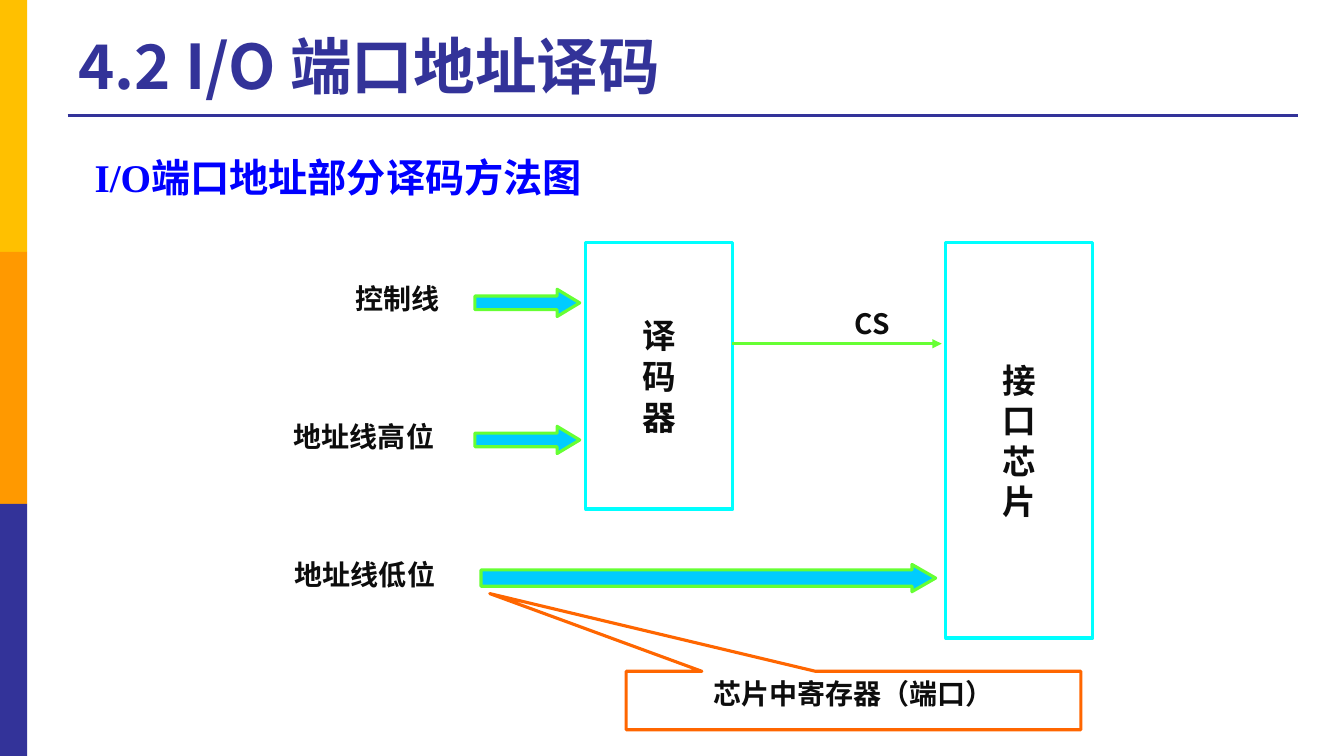
from dataclasses import dataclass

from lxml import etree
from pptx import Presentation, util as u
from pptx.dml.color import RGBColor
from pptx.enum import shapes, text
from pptx.oxml.ns import qn

PX = 9144  # EMU per px, 100 px to the inch
SANS, SERIF = "Noto Sans CJK SC", "Times New Roman"
HUES = {"navy": "333399", "gold": "FFC000", "orange": "FF9900", "blue": "0000FF",
        "cyan": "00FFFF", "sky": "00CCFF", "lime": "66FF33", "rust": "FF6600",
        "ink": "0D0D0D"}
FORM = shapes.MSO_SHAPE
MID, TOP = text.MSO_ANCHOR.MIDDLE, text.MSO_ANCHOR.TOP


@dataclass
class Box:
    x: int
    y: int
    w: int
    h: int


@dataclass
class Style:
    size: int = 20
    hue: str = "ink"
    font: str = SANS
    align: text.PP_ALIGN = text.PP_ALIGN.CENTER
    anchor: text.MSO_ANCHOR = MID
    lead: int | None = None


@dataclass
class Label:
    words: str
    box: Box
    style: Style


@dataclass
class Form:
    kind: FORM
    box: Box
    fill: str | None = None
    line: str | None = None
    adjust: tuple[float, ...] = ()
    rows: tuple[str, ...] = ()
    style: Style | None = None


@dataclass
class Wire:
    x: int
    end: int
    y: int
    hue: str
    head: bool = False


LEFT = text.PP_ALIGN.LEFT
TALL = Style(size=24, lead=29)
WORD = Style()

FORMS = [
    *(Form(FORM.RECTANGLE, Box(0, 250 * i, 27, 250), hue)
      for i, hue in enumerate(("gold", "orange", "navy"))),
    Form(FORM.RECTANGLE, Box(581, 241, 146, 264), None, "cyan", (), tuple("译码器"), TALL),
    Form(FORM.RECTANGLE, Box(938, 241, 146, 392), None, "cyan", (), tuple("接口芯片"), TALL),
    *(Form(FORM.RIGHT_ARROW, Box(471, y, 104, 27), "sky", "lime", (0.5, 0.83))
      for y in (287, 423)),
    Form(FORM.RIGHT_ARROW, Box(477, 560, 451, 27), "sky", "lime", (0.6, 0.87)),
    Form(FORM.RECTANGULAR_CALLOUT, Box(621, 666, 451, 58), None, "rust", (-0.8, -1.83),
         ("芯片中寄存器（端口）",), Style(anchor=TOP)),
]
LABELS = [
    Label("4.2 I/O 端口地址译码", Box(68, 21, 991, 87), Style(44, "navy", SANS, LEFT)),
    Label("I/O端口地址部分译码方法图", Box(84, 132, 991, 87), Style(28, "blue", SERIF, LEFT)),
    Label("控制线", Box(290, 259, 208, 73), WORD),
    Label("地址线高位", Box(257, 396, 208, 73), WORD),
    Label("地址线低位", Box(258, 533, 208, 73), WORD),
    Label("CS", Box(808, 284, 114, 73), WORD),
]
WIRES = [Wire(67, 1287, 115, "navy"), Wire(726, 934, 341, "lime", True)]


def tint(hue: str) -> RGBColor:
    return RGBColor.from_string(HUES[hue])


def place(box: Box) -> tuple[int, ...]:
    return tuple(n * PX for n in (box.x, box.y, box.w, box.h))


def write(frame, rows: tuple[str, ...], style: Style) -> None:
    frame.word_wrap = True
    frame.vertical_anchor = style.anchor
    for i, row in enumerate(rows):
        para = frame.add_paragraph() if i else frame.paragraphs[0]
        para.alignment = style.align
        if style.lead:
            para.line_spacing = u.Pt(style.lead)
        run = para.add_run()
        run.text = row
        font = run.font
        font.size, font.bold, font.name = u.Pt(style.size), True, style.font
        font.color.rgb = tint(style.hue)
        east = etree.SubElement(run._r.get_or_add_rPr(), qn("a:ea"))
        east.set("typeface", SANS)


def draw_form(slide, form: Form) -> None:
    shape = slide.shapes.add_shape(form.kind, *place(form.box))
    shape.shadow.inherit = False
    for i, value in enumerate(form.adjust):
        shape.adjustments[i] = value
    if form.fill:
        shape.fill.solid()
        shape.fill.fore_color.rgb = tint(form.fill)
    else:
        shape.fill.background()
    if form.line:
        shape.line.color.rgb = tint(form.line)
        shape.line.width = u.Pt(2.25)
    else:
        shape.line.fill.background()
    if form.style:
        write(shape.text_frame, form.rows, form.style)


def draw_label(slide, label: Label) -> None:
    frame = slide.shapes.add_textbox(*place(label.box)).text_frame
    write(frame, (label.words,), label.style)


def draw_wire(slide, wire: Wire) -> None:
    line = slide.shapes.add_connector(
        shapes.MSO_CONNECTOR.STRAIGHT,
        wire.x * PX, wire.y * PX, wire.end * PX, wire.y * PX)
    line.line.color.rgb = tint(wire.hue)
    line.line.width = u.Pt(2.25)
    if wire.head:
        etree.SubElement(line.line._get_or_add_ln(), qn("a:tailEnd")).set("type", "triangle")
    etree.SubElement(line._element.spPr, qn("a:effectLst"))


def main() -> None:
    deck = Presentation()
    deck.slide_width, deck.slide_height = 1333 * PX, 750 * PX
    slide = deck.slides.add_slide(deck.slide_layouts[6])
    for form in FORMS:
        draw_form(slide, form)
    for label in LABELS:
        draw_label(slide, label)
    for wire in WIRES:
        draw_wire(slide, wire)
    deck.save("out.pptx")


if __name__ == "__main__":
    main()
